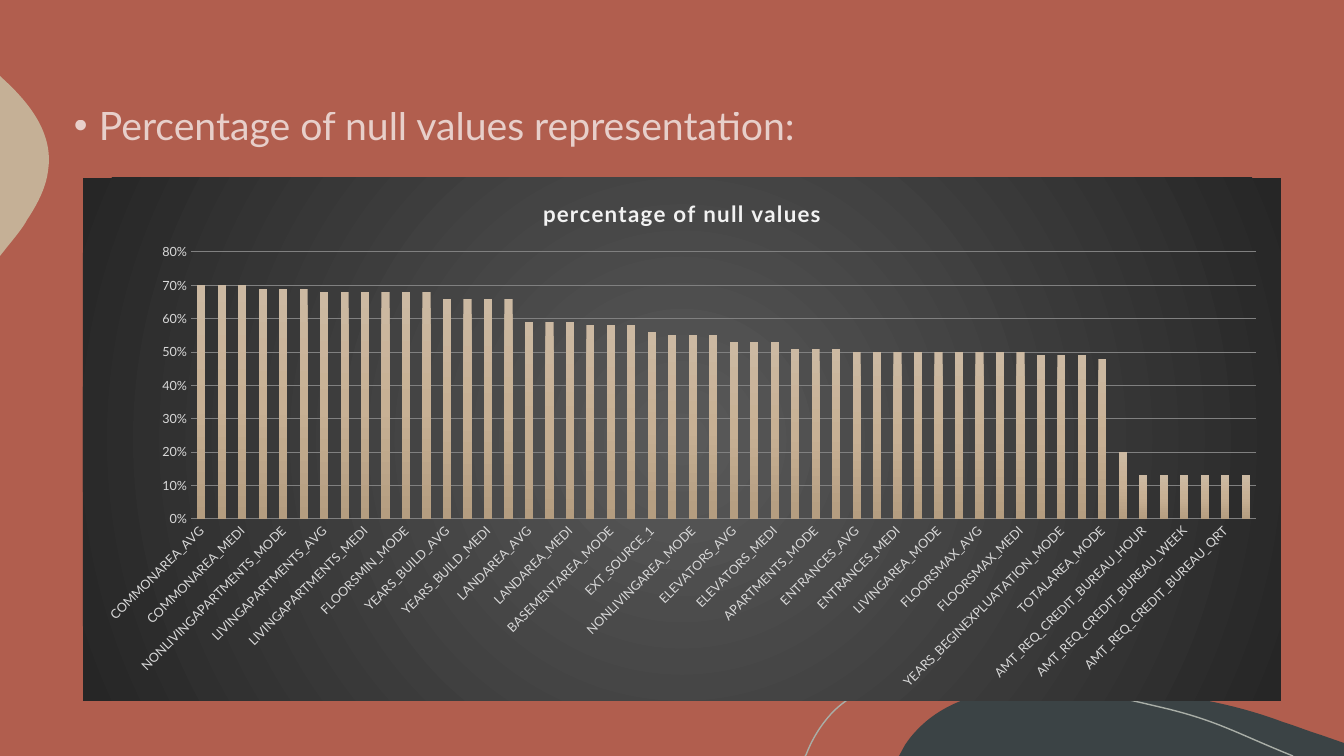
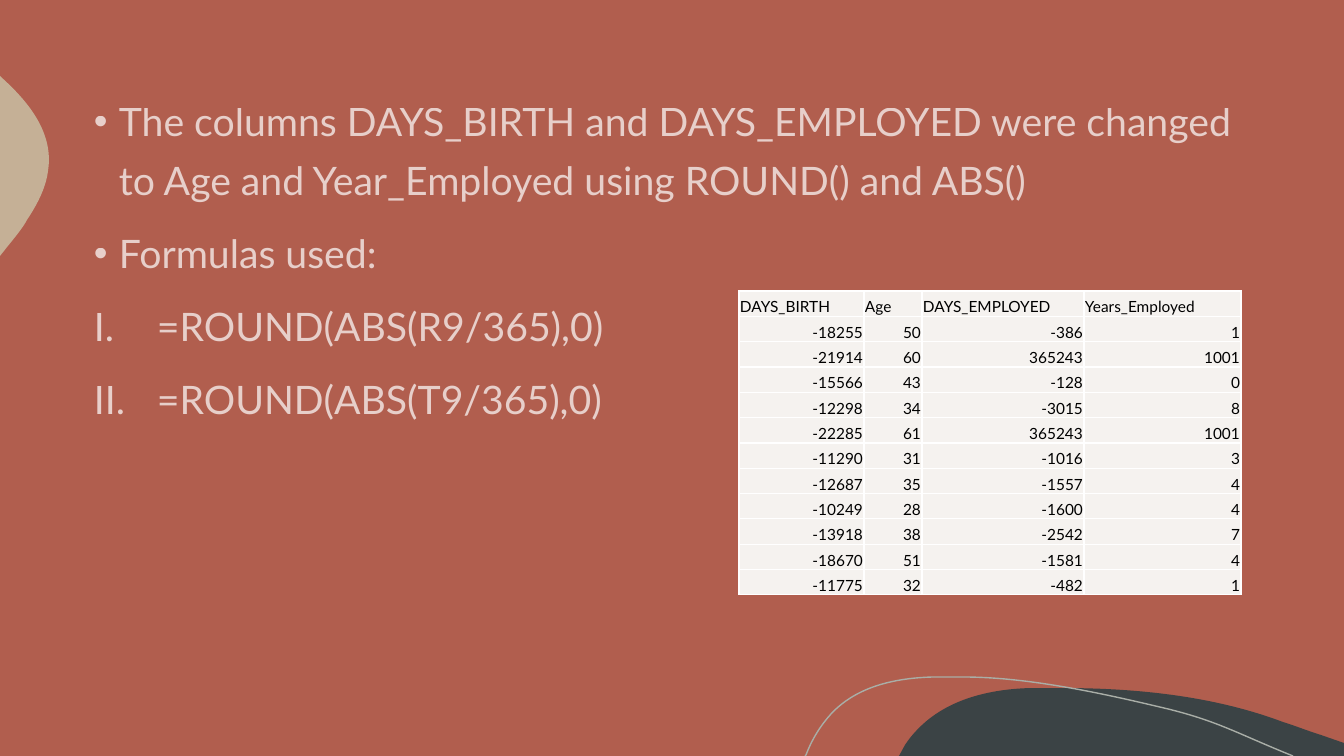
from dataclasses import dataclass
from itertools import product

from pptx import Presentation
from pptx.chart.data import CategoryChartData
from pptx.dml.color import RGBColor
from pptx.enum.chart import XL_CHART_TYPE, XL_TICK_MARK
from pptx.enum.text import MSO_ANCHOR, PP_ALIGN
from pptx.oxml import parse_xml
from pptx.oxml.ns import nsdecls, qn
from pptx.util import Pt

SLIDE_W, SLIDE_H = 1344, 756
EMU_PER_PX = 12192000 / SLIDE_W


@dataclass(frozen=True)
class Theme:
    font: str = "Lato"
    background: str = "B15E4E"
    hill: str = "3B4345"
    sand: str = "C5B096"
    contour: str = "A9AEA7"
    white: str = "FFFFFF"
    black: str = "000000"
    heading: str = "F2F2F2"
    axis_text: str = "D9D9D9"
    gridline: str = "808080"
    cell: str = "F5F2EF"
    panel_stops: tuple = ((0, "595959"), (100, "262626"))
    bar_stops: tuple = ((0, "CCB9A2"), (50, "C7B094"), (100, "B49D80"))
    body_size: int = 28
    body_alpha: int = 70
    chart_title_size: int = 16
    chart_size: int = 10
    axis_size: int = 9
    table_size: int = 11


THEME = Theme()

HILL = [(1062, 688), (1137, 688, 1214, 696, 1283, 722),
        (1296, 726, 1308, 731, 1321, 735), (1344, 743), (1344, 756),
        (899, 756), (905, 745), (909, 739, 913, 734, 918, 729),
        (947, 699, 990, 689, 1031, 688), (1041, 688, 1052, 688, 1062, 688)]
PEBBLE = [(0, 76), (1, 77), (30, 103, 54, 134, 48, 171),
          (46, 188, 37, 205, 27, 220), (24, 226, 17, 235, 8, 246), (0, 256)]
CONTOUR = [(805, 756), (806, 755), (812, 739, 821, 725, 831, 714),
           (857, 686, 896, 678, 933, 677), (963, 677),
           (1031, 677, 1109, 695, 1164, 708), (1218, 721, 1236, 733, 1293, 756)]

VARIANTS = ("AVG", "MODE", "MEDI")
NULL_SHARES = [
    ("COMMONAREA", VARIANTS, 0.7),
    ("NONLIVINGAPARTMENTS", VARIANTS, 0.69),
    ("LIVINGAPARTMENTS", VARIANTS, 0.68),
    ("FLOORSMIN", VARIANTS, 0.68),
    ("YEARS_BUILD", VARIANTS, 0.66),
    ("OWN_CAR", ("AGE",), 0.66),
    ("LANDAREA", VARIANTS, 0.59),
    ("BASEMENTAREA", VARIANTS, 0.58),
    ("EXT_SOURCE", ("1",), 0.56),
    ("NONLIVINGAREA", VARIANTS, 0.55),
    ("ELEVATORS", VARIANTS, 0.53),
    ("APARTMENTS", VARIANTS, 0.51),
    ("ENTRANCES", VARIANTS, 0.5),
    ("LIVINGAREA", VARIANTS, 0.5),
    ("FLOORSMAX", VARIANTS, 0.5),
    ("YEARS_BEGINEXPLUATATION", VARIANTS, 0.49),
    ("TOTALAREA", ("MODE",), 0.48),
    ("EXT_SOURCE", ("3",), 0.2),
    ("AMT_REQ_CREDIT_BUREAU",
     ("HOUR", "DAY", "WEEK", "MON", "QRT", "YEAR"), 0.13),
]

EMPLOYMENT = [
    ("DAYS_BIRTH", "Age", "DAYS_EMPLOYED", "Years_Employed"),
    (-18255, 50, -386, 1),
    (-21914, 60, 365243, 1001),
    (-15566, 43, -128, 0),
    (-12298, 34, -3015, 8),
    (-22285, 61, 365243, 1001),
    (-11290, 31, -1016, 3),
    (-12687, 35, -1557, 4),
    (-10249, 28, -1600, 4),
    (-13918, 38, -2542, 7),
    (-18670, 51, -1581, 4),
    (-11775, 32, -482, 1),
]

DOT = ("buChar", "char", "•", 25)
ROMAN = ("buAutoNum", "type", "romanUcPeriod", 63)


def px(length):
    return round(length * EMU_PER_PX)


def rgb(code):
    return RGBColor.from_string(code)


def apply(target, formats):
    for name, value in formats.items():
        setattr(target, name, value)


def style_font(font, size, color, bold=False):
    apply(font, {"name": THEME.font, "size": Pt(size), "bold": bold})
    font.color.rgb = rgb(color)


def bend(outline, segments):
    strokes = outline._element.xpath(".//a:path/a:lnTo")
    for stroke, segment in zip(strokes, segments):
        if len(segment) == 6:
            points = "".join(
                f'<a:pt x="{px(x) - outline.left}" y="{px(y) - outline.top}"/>'
                for x, y in zip(segment[::2], segment[1::2]))
            stroke.getparent().replace(stroke, parse_xml(
                f'<a:cubicBezTo {nsdecls("a")}>{points}</a:cubicBezTo>'))


def draw_outline(slide, segments, fill=None, line=None):
    start, *rest = segments
    builder = slide.shapes.build_freeform(*map(px, start))
    builder.add_line_segments(
        [(px(segment[-2]), px(segment[-1])) for segment in rest],
        close=fill is not None)
    outline = builder.convert_to_shape()
    bend(outline, rest)
    outline.shadow.inherit = False
    if fill:
        outline.fill.solid()
        outline.fill.fore_color.rgb = rgb(fill)
        outline.line.fill.background()
    else:
        outline.fill.background()
        outline.line.color.rgb = rgb(line)
        outline.line.width = Pt(1)
    return outline


def decorate_master(master, slide):
    master.background.fill.solid()
    master.background.fill.fore_color.rgb = rgb(THEME.background)
    for placeholder in list(master.placeholders):
        placeholder._element.getparent().remove(placeholder._element)
    for segments, formats in ((HILL, {"fill": THEME.hill}),
                              (PEBBLE, {"fill": THEME.sand}),
                              (CONTOUR, {"line": THEME.contour})):
        outline = draw_outline(slide, segments, **formats)
        master.shapes._spTree.append(outline._element)


def add_body(slide, box, points):
    body = slide.shapes.add_textbox(*map(px, box)).text_frame
    body.word_wrap = True
    for index, ((tag, key, mark, indent), wording) in enumerate(points):
        point = body.add_paragraph() if index else body.paragraphs[0]
        apply(point, {"line_spacing": 1.25, "space_before": Pt(10)})
        run = point.add_run()
        run.text = wording
        style_font(run.font, THEME.body_size, THEME.white)
        run._r.xpath(".//a:srgbClr")[0].append(parse_xml(
            f'<a:alpha {nsdecls("a")} val="{THEME.body_alpha * 1000}"/>'))
        properties = point._p.get_or_add_pPr()
        properties.set("marL", str(px(indent)))
        properties.set("indent", str(-px(indent)))
        font = "Arial" if tag == "buChar" else "+mj-lt"
        properties.append(parse_xml(
            f'<a:buFont {nsdecls("a")} typeface="{font}"/>'))
        properties.append(parse_xml(
            f'<a:{tag} {nsdecls("a")} {key}="{mark}"/>'))


def gradient(stops, direction):
    marks = "".join(
        f'<a:gs pos="{place * 1000}"><a:srgbClr val="{color}"/></a:gs>'
        for place, color in stops)
    return (f'<a:gradFill {nsdecls("a")}><a:gsLst>{marks}</a:gsLst>'
            f'{direction}</a:gradFill>')


def set_layout(part, index, target, fractions):
    for old in part.findall(qn("c:layout")):
        part.remove(old)
    inner = f'<c:layoutTarget val="{target}"/>' if target else ""
    modes = "".join(f'<c:{axis}Mode val="edge"/>' for axis in "xy")
    sizes = "".join(f'<c:{name} val="{value:.4f}"/>'
                    for name, value in zip("xywh", fractions))
    part.insert(index, parse_xml(
        f'<c:layout {nsdecls("c")}><c:manualLayout>{inner}{modes}{sizes}'
        '</c:manualLayout></c:layout>'))


def add_null_chart(slide, box):
    shares = CategoryChartData(number_format="0%")
    columns = [(f"{stem}_{ending}", share)
               for stem, endings, share in NULL_SHARES for ending in endings]
    shares.categories = [name for name, _ in columns]
    shares.add_series("Series 1", [share for _, share in columns])
    chart = slide.shapes.add_chart(
        XL_CHART_TYPE.COLUMN_CLUSTERED, *map(px, box), shares).chart
    chart.has_legend = False
    style_font(chart.font, THEME.chart_size, THEME.white)

    heading = chart.chart_title.text_frame.paragraphs[0].add_run()
    heading.text = "percentage of null values"
    style_font(heading.font, THEME.chart_title_size, THEME.heading, bold=True)
    heading._r.get_or_add_rPr().set("spc", "100")

    apply(chart.value_axis, {"minimum_scale": 0, "maximum_scale": 0.8,
                             "major_unit": 0.1})
    apply(chart.value_axis.tick_labels, {"number_format": "0%",
                                         "number_format_is_linked": False})
    for axis in (chart.category_axis, chart.value_axis):
        apply(axis, {"major_tick_mark": XL_TICK_MARK.NONE,
                     "minor_tick_mark": XL_TICK_MARK.NONE})
        axis.format.line.fill.background()
        style_font(axis.tick_labels.font, THEME.axis_size, THEME.axis_text)
    gridline = chart.value_axis.major_gridlines.format.line
    gridline.color.rgb = rgb(THEME.gridline)
    gridline.width = Pt(0.75)

    bars = chart.plots[0]
    apply(bars, {"gap_width": 150, "vary_by_categories": False})
    bars.series[0].format.fill.background()

    root = chart.element
    blank_fill = root.xpath(".//c:ser/c:spPr/a:noFill")[0]
    blank_fill.getparent().replace(blank_fill, parse_xml(
        gradient(THEME.bar_stops, '<a:lin ang="5400000" scaled="0"/>')))
    centre = " ".join(f'{side}="50000"' for side in "ltrb")
    panel = gradient(
        THEME.panel_stops,
        f'<a:path path="circle"><a:fillToRect {centre}/></a:path>')
    root.find(qn("c:chart")).addnext(parse_xml(
        f'<c:spPr {nsdecls("c", "a")}>{panel}<a:ln><a:noFill/></a:ln></c:spPr>'))
    root.xpath(".//c:catAx/c:txPr/a:bodyPr")[0].set("rot", "-2700000")

    width, height = box[2:]
    set_layout(root.xpath("./c:chart/c:title")[0], 1, None,
               (456 / width, 16 / height))
    set_layout(root.xpath(".//c:plotArea")[0], 0, "inner",
               (108 / width, 74 / height, 1065 / width, 267 / height))


def add_employment_table(slide, box, widths):
    table = slide.shapes.add_table(
        len(EMPLOYMENT), len(widths), *map(px, box)).table
    apply(table, {"first_row": False, "horz_banding": False})
    for column, width in zip(table.columns, widths):
        column.width = px(width)
    for row in table.rows:
        row.height = px(box[3]) // len(EMPLOYMENT)
    for r, c in product(range(len(EMPLOYMENT)), range(len(widths))):
        cell = table.cell(r, c)
        apply(cell, {"margin_left": px(1), "margin_right": px(1),
                     "margin_top": px(1), "margin_bottom": 0,
                     "vertical_anchor": MSO_ANCHOR.BOTTOM})
        cell.fill.solid()
        cell.fill.fore_color.rgb = rgb(THEME.cell)
        entry = cell.text_frame.paragraphs[0]
        entry.alignment = PP_ALIGN.RIGHT if r else PP_ALIGN.LEFT
        run = entry.add_run()
        run.text = str(EMPLOYMENT[r][c])
        style_font(run.font, THEME.table_size, THEME.black)
        for order, side in enumerate("LRTB"):
            cell._tc.get_or_add_tcPr().insert(order, parse_xml(
                f'<a:ln{side} {nsdecls("a")} w="12700"><a:solidFill>'
                f'<a:srgbClr val="{THEME.white}"/></a:solidFill></a:ln{side}>'))


def fill_null_values(slide):
    add_body(slide, (64, 85, 1176, 421),
             [(DOT, "Percentage of null values representation:")])
    add_null_chart(slide, (83, 178, 1198, 523))


def fill_employment(slide):
    add_body(slide, (84, 81, 1176, 421), [
        (DOT, "The columns DAYS_BIRTH and DAYS_EMPLOYED were changed to Age "
              "and Year_Employed using ROUND() and ABS()"),
        (DOT, "Formulas used:"),
        (ROMAN, "=ROUND(ABS(R9/365),0)"),
        (ROMAN, "=ROUND(ABS(T9/365),0)")])
    add_employment_table(slide, (739, 291, 502, 304), (125, 58, 162, 157))


def main():
    prs = Presentation()
    apply(prs, {"slide_width": px(SLIDE_W), "slide_height": px(SLIDE_H)})
    null_values, employment = (
        prs.slides.add_slide(prs.slide_layouts[6]) for _ in range(2))
    decorate_master(prs.slide_master, null_values)
    fill_null_values(null_values)
    fill_employment(employment)
    prs.save("out.pptx")


if __name__ == "__main__":
    main()
